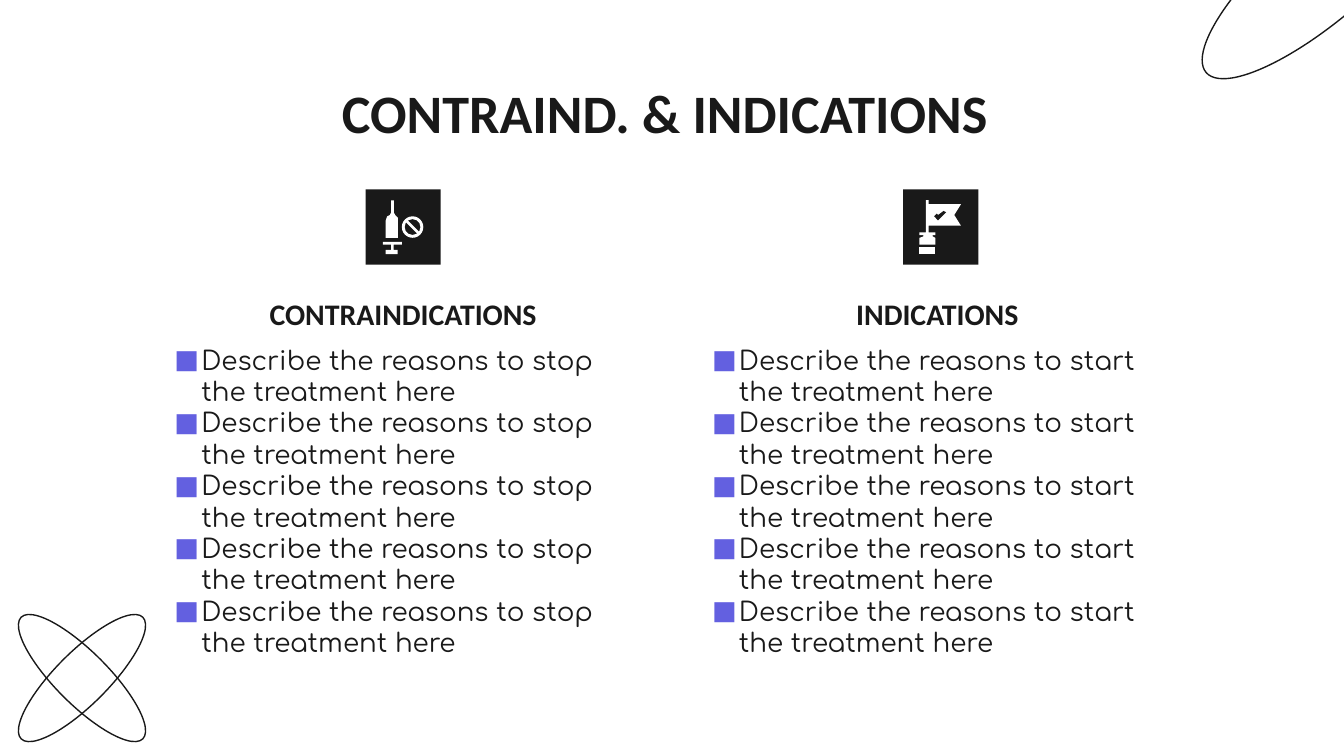
from lxml.etree import SubElement
from pptx import Presentation
from pptx.dml.color import RGBColor
from pptx.enum.shapes import MSO_SHAPE
from pptx.enum.text import MSO_ANCHOR, MSO_AUTO_SIZE, PP_ALIGN
from pptx.oxml.ns import qn
from pptx.util import Inches, Pt

COLORS = {"ink": "191919", "accent": "6360E0", "white": "FFFFFF"}
TITLE = "CONTRAIND. & INDICATIONS "
COLUMNS = [
    ("CONTRAINDICATIONS", ["Describe the reasons to stop the treatment here"] * 5),
    ("INDICATIONS ", ["Describe the reasons to start the treatment here"] * 5),
]
ORBITS = [
    (8.69, -0.58, 2.34, 0.71, 139.2),
    (-0.03, 4.85, 1.28, 0.39, 45),
    (-0.03, 4.85, 1.28, 0.39, 315),
]
COLUMN_LEFT, COLUMN_STEP, COLUMN_WIDTH = 1.2, 4, 3.6
TILE_TOP, TILE_SIZE = 1.41, 0.56

SYRINGE_BARREL = [(19, 8), (21, 8), (21, 17), (22, 19), (24, 21), (24, 36),
                  (15, 36), (15, 23), (16, 20), (18, 19), (19, 17)]
SYRINGE_PLUNGER = [(13, 39), (27, 39), (27, 41), (21, 41), (21, 45), (24, 45),
                   (24, 48), (15, 48), (15, 45), (19, 45), (19, 41), (13, 41)]
VIAL_BASE = [(12, 43), (24, 43), (24, 48), (12, 48)]
VIAL_FLAG = [(17, 8), (19, 8), (19, 11), (43, 11), (38, 19), (43, 27), (19, 27),
             (19, 32), (24, 32), (24, 34), (22, 34), (22, 35), (24, 36), (24, 41),
             (12, 41), (12, 36), (15, 35), (15, 34), (12, 34), (12, 32), (17, 32)]
CHECK = [(30, 16), (32, 17), (26, 23), (23, 20), (25, 18), (26, 19)]
ICONS = [
    [(SYRINGE_BARREL, "white"), (SYRINGE_PLUNGER, "white")],
    [(VIAL_BASE, "white"), (VIAL_FLAG, "white"), (CHECK, "ink")],
]


def rgb(name):
    return RGBColor.from_string(COLORS[name])


def paint(shape, color):
    shape.shadow.inherit = False
    shape.fill.solid()
    shape.fill.fore_color.rgb = rgb(color)
    shape.line.fill.background()


def add_orbit(left, top, width, height, angle):
    orbit = slide.shapes.add_shape(
        MSO_SHAPE.OVAL, Inches(left), Inches(top), Inches(width), Inches(height))
    orbit.rotation = angle
    orbit.shadow.inherit = False
    orbit.fill.background()
    orbit.line.color.rgb = rgb("ink")
    orbit.line.width = Pt(0.75)


def place(shape, left, top, width, height):
    shape.left, shape.top = Inches(left), Inches(top)
    shape.width, shape.height = Inches(width), Inches(height)


def write(shape, lines, size, font, bold=False, align=PP_ALIGN.CENTER,
          anchor=MSO_ANCHOR.TOP, bullet=None):
    frame = shape.text_frame
    frame.word_wrap = True
    frame.auto_size = MSO_AUTO_SIZE.NONE
    frame.vertical_anchor = anchor
    frame.margin_left = frame.margin_right = Inches(0.1)
    frame.margin_top = frame.margin_bottom = Inches(0.1)
    for index, line in enumerate(lines):
        paragraph = frame.paragraphs[0] if index == 0 else frame.add_paragraph()
        paragraph.alignment = align
        if bullet:
            properties = paragraph._p.get_or_add_pPr()
            properties.set("marL", str(Inches(0.2)))
            properties.set("indent", str(-Inches(0.2)))
            bullet_color = SubElement(properties, qn("a:buClr"))
            SubElement(bullet_color, qn("a:srgbClr"), val=COLORS["accent"])
            SubElement(properties, qn("a:buFont"), typeface="Calibri")
            SubElement(properties, qn("a:buChar"), char=bullet)
        run = paragraph.add_run()
        run.text = line
        run.font.size = Pt(size)
        run.font.name = font
        run.font.bold = bold
        run.font.color.rgb = rgb("ink")


def add_text(left, top, height, lines, *style, **options):
    box = slide.shapes.add_textbox(0, 0, 0, 0)
    place(box, left, top, COLUMN_WIDTH, height)
    write(box, lines, *style, **options)


def add_outline(left, top, points, color):
    builder = slide.shapes.build_freeform(*points[0], scale=Inches(0.01))
    builder.add_line_segments(points[1:], close=True)
    paint(builder.convert_to_shape(Inches(left), Inches(top)), color)


deck = Presentation()
deck.slide_width, deck.slide_height = Inches(10), Inches(5.625)
slide = deck.slides.add_slide(deck.slide_layouts[5])

for orbit_geometry in ORBITS:
    add_orbit(*orbit_geometry)

title = slide.shapes.title
place(title, 0.78, 0.49, 8.43, 0.63)
write(title, [TITLE], 29, "Calibri", bold=True)

for number, ((heading, reasons), icon) in enumerate(zip(COLUMNS, ICONS)):
    left = COLUMN_LEFT + number * COLUMN_STEP
    add_text(left, 2.11, 0.46, [heading], 16, "Calibri", bold=True,
             anchor=MSO_ANCHOR.BOTTOM)
    add_text(left, 2.46, 2.38, reasons, 14, "Comfortaa", align=PP_ALIGN.LEFT,
             bullet="■")
    tile_left = left + (COLUMN_WIDTH - TILE_SIZE) / 2
    tile = slide.shapes.add_shape(
        MSO_SHAPE.RECTANGLE, Inches(tile_left), Inches(TILE_TOP),
        Inches(TILE_SIZE), Inches(TILE_SIZE))
    paint(tile, "ink")
    for points, color in icon:
        add_outline(tile_left, TILE_TOP, points, color)

stop_sign = slide.shapes.add_shape(
    MSO_SHAPE.NO_SYMBOL, Inches(2.99), Inches(1.61), Inches(0.16), Inches(0.16))
stop_sign.adjustments[0] = 0.13
paint(stop_sign, "white")

deck.save("out.pptx")
